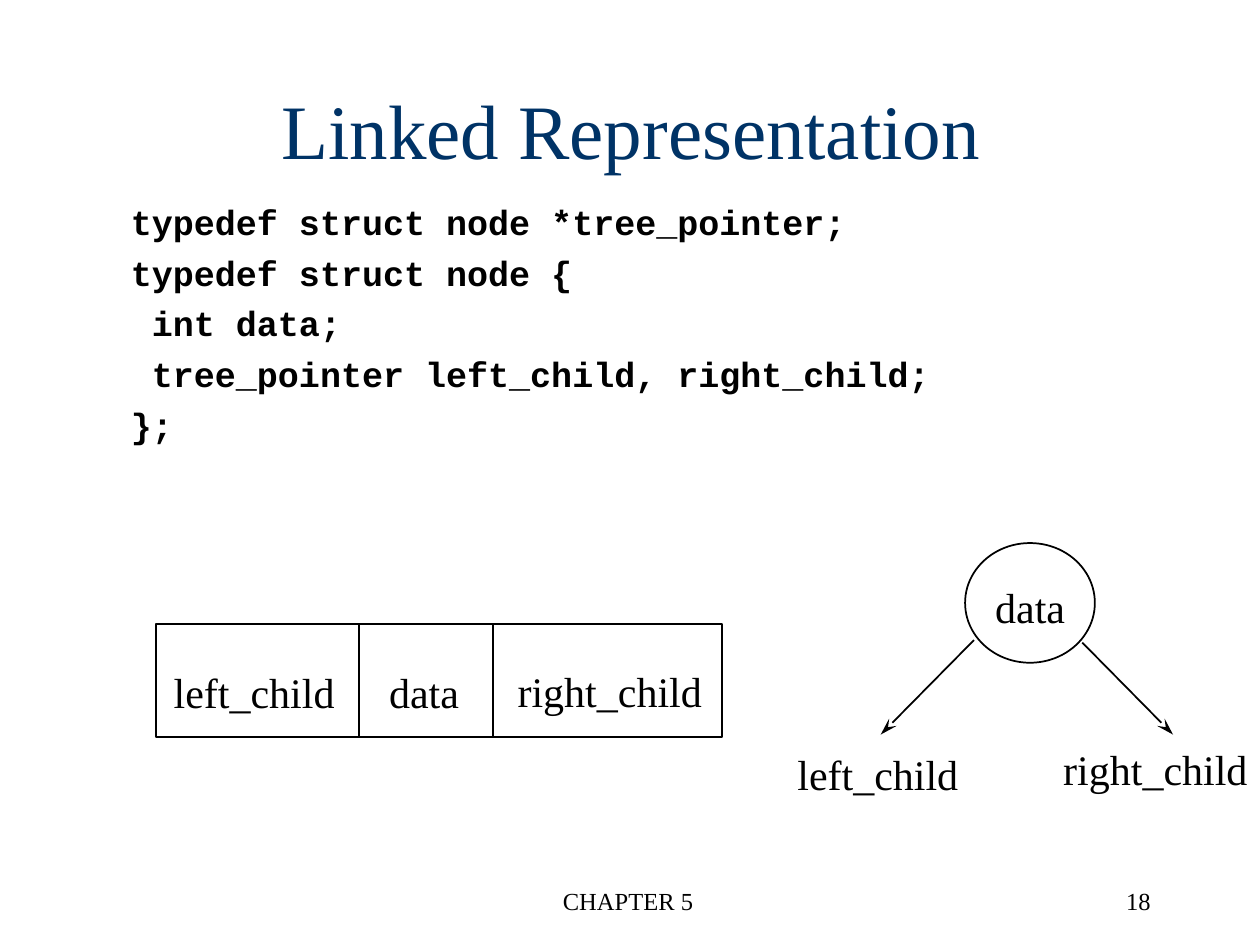
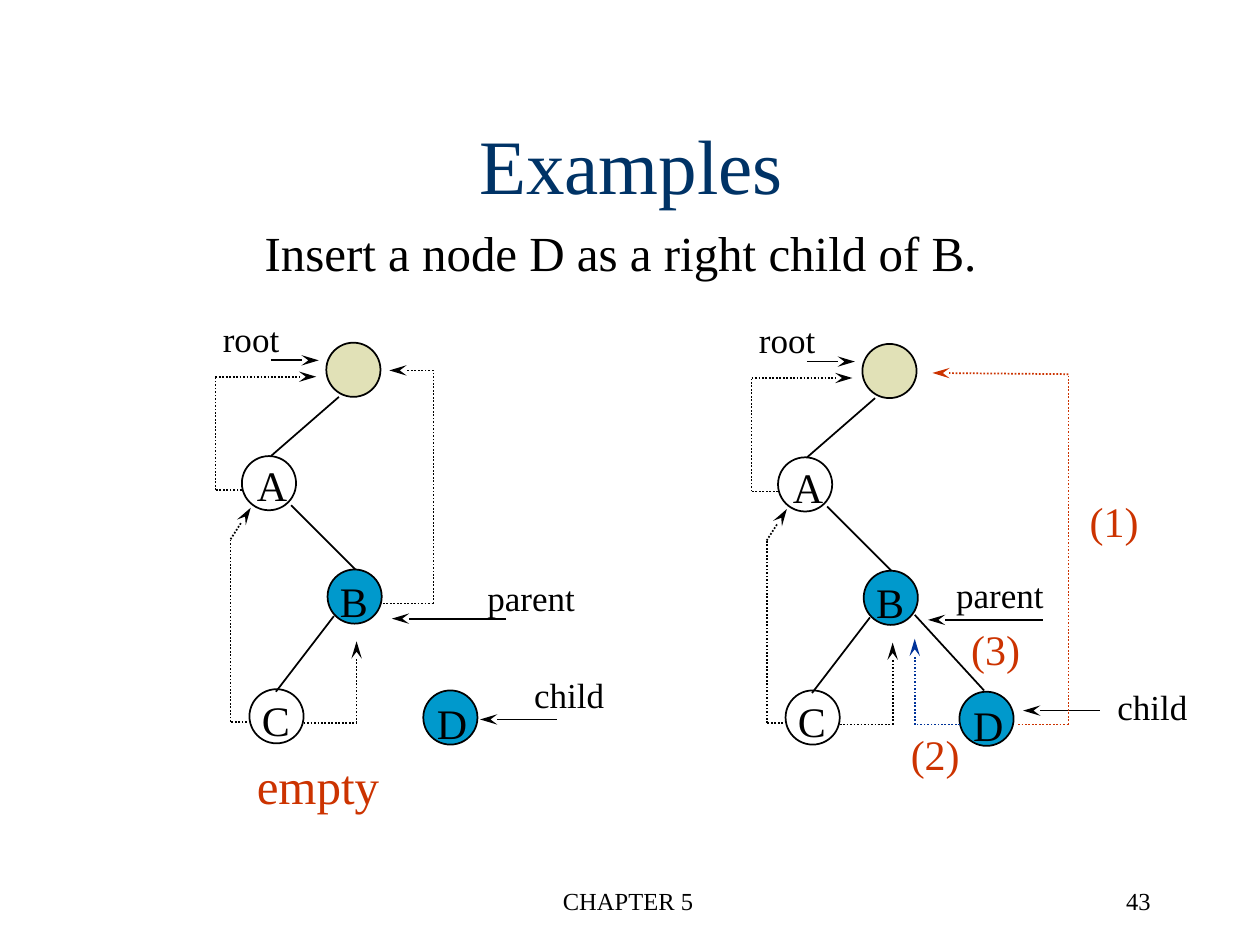
"""Build two slides on binary trees: the linked node layout and a threaded insertion."""
from itertools import pairwise

from lxml import etree
from pptx import Presentation
from pptx import util as u
from pptx.dml.color import RGBColor
from pptx.enum import dml, shapes, text
from pptx.oxml.ns import qn


class Theme:
    serif, mono = "Times New Roman", "Courier New"
    black, navy, red, blue = "000000", "003366", "CC3300", "003399"
    sand, cyan = "E1E1B7", "0099CC"
    footer, label, code, body, lead, title = 14, 20, 20, 24, 28, 44
    stroke = 1


presentation = Presentation()
presentation.slide_width, presentation.slide_height = u.Inches(10), u.Inches(7.5)
COLUMN = presentation.slide_width / 100
ROW = presentation.slide_height / 75
LEFT, CENTER, RIGHT = text.PP_ALIGN.LEFT, text.PP_ALIGN.CENTER, text.PP_ALIGN.RIGHT


def write(slide, words, left, top, width, height, size=Theme.body, color=Theme.black,
          name=Theme.serif, bold=False, wrap=False, middle=False, **paragraph_format):
    """Place a text box on the grid, one paragraph per line of words."""
    box = slide.shapes.add_textbox(int(left * COLUMN), int(top * ROW),
                                   int(width * COLUMN), int(height * ROW))
    frame = box.text_frame
    frame_format = {
        "word_wrap": wrap,
        "auto_size": text.MSO_AUTO_SIZE.NONE if wrap else text.MSO_AUTO_SIZE.SHAPE_TO_FIT_TEXT,
        "vertical_anchor": text.MSO_ANCHOR.MIDDLE if middle else text.MSO_ANCHOR.TOP,
    }
    for key, value in frame_format.items():
        setattr(frame, key, value)
    frame.text = words
    for paragraph in frame.paragraphs:
        for key, value in paragraph_format.items():
            setattr(paragraph, key, value)
        for key, value in {"size": u.Pt(size), "name": name, "bold": bold}.items():
            setattr(paragraph.runs[0].font, key, value)
        paragraph.runs[0].font.color.rgb = RGBColor.from_string(color)


def connect(slide, points, color=Theme.black, dotted=False, arrow=False):
    """Join grid points with straight connectors, with an optional arrowhead at the last."""
    for start, end in pairwise(points):
        connector = slide.shapes.add_connector(
            shapes.MSO_CONNECTOR.STRAIGHT, int(start[0] * COLUMN), int(start[1] * ROW),
            int(end[0] * COLUMN), int(end[1] * ROW))
        connector.line.width = u.Pt(Theme.stroke)
        connector.line.color.rgb = RGBColor.from_string(color)
        if dotted:
            connector.line.dash_style = dml.MSO_LINE.ROUND_DOT
        properties = connector.element.spPr
        if arrow and end == points[-1]:
            etree.SubElement(properties.find(qn("a:ln")), qn("a:tailEnd"),
                             type="stealth", w="med", len="lg")
        etree.SubElement(properties, qn("a:effectLst"))


slides = []
for title, title_top, number in [("Linked Representation", 4, "18"), ("Examples", 6.7, "43")]:
    slide = presentation.slides.add_slide(presentation.slide_layouts[6])
    slides.append(slide)
    write(slide, title, 0, title_top, 100.2, 12.5, Theme.title, Theme.navy,
          wrap=True, middle=True, alignment=CENTER)
    for words, left, width, side in [("CHAPTER 5", 34, 31.7, CENTER), (number, 71.5, 20.8, RIGHT)]:
        write(slide, words, left, 69.8, width, 5, Theme.footer, wrap=True,
              alignment=side, space_before=u.Pt(8.8))
linked, examples = slides

CODE = """typedef struct node *tree_pointer;
typedef struct node {
 int data;
 tree_pointer left_child, right_child;
};"""
write(linked, CODE, 9.4, 15.4, 82, 26.1, Theme.code, name=Theme.mono, bold=True,
      wrap=True, space_before=u.Pt(5))

outlines = [
    (linked, shapes.MSO_SHAPE.RECTANGLE, 12.4, 49.5, 44.9, 9, None),
    (linked, shapes.MSO_SHAPE.OVAL, 76.6, 43.1, 10.3, 9.5, None),
]
TREE_ORIGINS = [(0, 0), (42.55, 0.1)]
NODE = 4.3
nodes = [(25.9, 27.2, Theme.sand), (19.2, 36.2, None), (26, 45.2, Theme.cyan),
         (19.8, 54.7, None), (33.6, 54.8, Theme.cyan)]
for across, down in TREE_ORIGINS:
    for left, top, fill in nodes:
        outlines.append((examples, shapes.MSO_SHAPE.OVAL, left + across, top + down,
                         NODE, NODE, fill))

for slide, kind, left, top, width, height, fill in outlines:
    shape = slide.shapes.add_shape(kind, int(left * COLUMN), int(top * ROW),
                                   int(width * COLUMN), int(height * ROW))
    shape.shadow.inherit = False
    shape.line.width = u.Pt(Theme.stroke)
    shape.line.color.rgb = RGBColor.from_string(Theme.black)
    if fill:
        shape.fill.solid()
        shape.fill.fore_color.rgb = RGBColor.from_string(fill)
    else:
        shape.fill.background()

for divider in (28.5, 39.1):
    connect(linked, [(divider, 49.6), (divider, 58.5)])
for start, end in [((77.3, 50.8), (69.9, 58.3)), ((85.9, 51), (93.1, 58.3))]:
    connect(linked, [start, end], arrow=True)

fields = [
    ("left_child", 14.8, [(12.8, 52.4), (62.3, 58.9)]),
    ("data", 7.6, [(29.9, 52.4), (78, 45.7)]),
    ("right_child", 16.6, [(40.1, 52.3), (83.4, 58.5)]),
]
for words, width, places in fields:
    for left, top in places:
        write(linked, words, left, top, width, 5)

write(examples, "Insert a node D as a right child of B.", 20, 17.2, 58.5, 5.7,
      Theme.lead, alignment=CENTER)

branches = [
    [(26.9, 31.5), (21.5, 36.2)],
    [(23.1, 40.1), (28.2, 45.2)],
    [(26.5, 48.9), (21.9, 54.9)],
]
threads = [
    [(24.1, 57.4), (28.3, 57.4), (28.3, 50.9)],
    [(19.6, 57.3), (18.3, 57.3), (18.3, 42.8), (19.9, 40.3)],
    [(19.2, 38.9), (17.1, 38.9), (17.1, 29.9), (25.1, 29.9)],
]
pointers = [[(21.5, 28.6), (25.3, 28.6)], [(40.2, 49.1), (31.1, 49.1)]]
letters = [("A", 19.4, 36), ("B", 26, 45.2), ("C", 19.8, 54.6), ("D", 33.7, 54.9)]
strokes = [(branches, {}), (threads, {"dotted": True, "arrow": True}), (pointers, {"arrow": True})]

for across, down in TREE_ORIGINS:
    for routes, stroke_format in strokes:
        for route in routes:
            connect(examples, [(x + across, y + down) for x, y in route], **stroke_format)
    for letter, left, top in letters:
        write(examples, letter, left + across, top + down, 4.4, 5)
    write(examples, "root", 16.7 + across, 24.7 + down, 6.5, 4.3, Theme.label)

connect(examples, [(72.6, 48.8), (78.1, 54.8)])
for child_pointer in [[(44.2, 57.1), (38.1, 57.1)], [(87.3, 56.4), (81.2, 56.4)]]:
    connect(examples, child_pointer, arrow=True)

changing_threads = [
    (Theme.black, [(30.4, 47.9), (34.4, 47.9), (34.4, 29.4), (30.9, 29.4)]),
    (Theme.red, [(80.8, 57.5), (84.8, 57.5), (84.8, 29.7), (74, 29.6)]),
    (Theme.blue, [(76.2, 57.5), (72.6, 57.5), (72.6, 50.7)]),
]
for color, route in changing_threads:
    connect(examples, route, color, dotted=True, arrow=True)

for words, width, places in [("parent", 9, [(37.7, 45.3), (74.9, 45)]),
                             ("child", 7.6, [(41.4, 53), (87.7, 53.9)])]:
    for left, top in places:
        write(examples, words, left, top, width, 4.3, Theme.label)

write(examples, "empty", 19.4, 59.5, 11.7, 5.7, Theme.lead, Theme.red)
for step, left, top in [("(1)", 85.5, 38.8), ("(2)", 71.3, 57.3), ("(3)", 76.1, 49)]:
    write(examples, step, left, top, 5.9, 5, color=Theme.red)

presentation.save("out.pptx")
